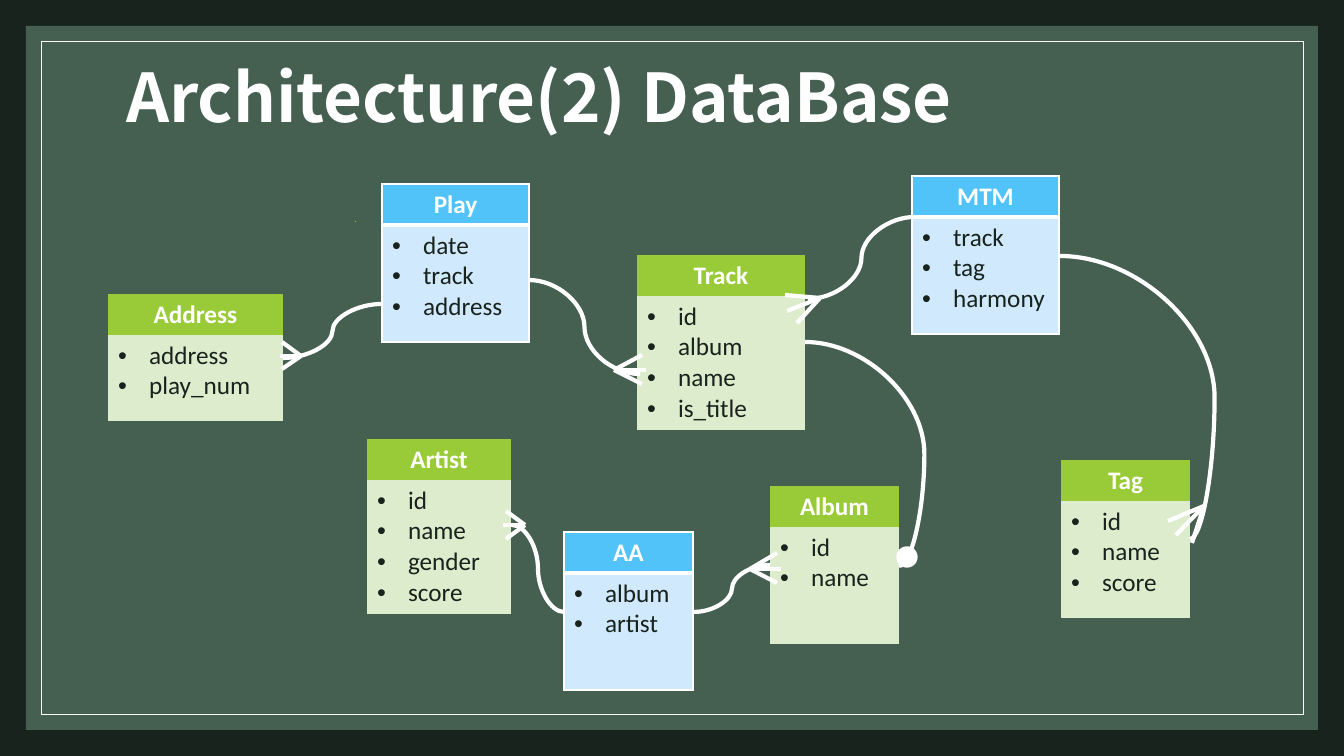
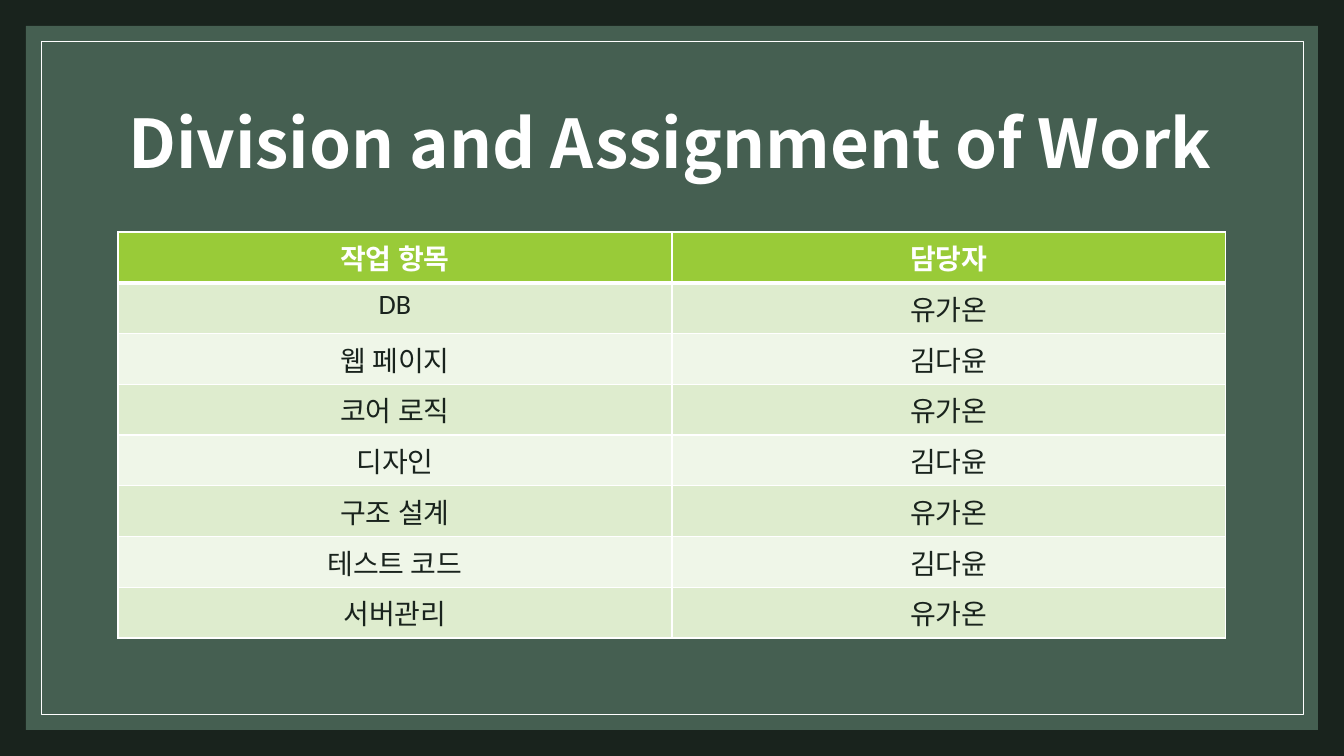
from dataclasses import dataclass

from pptx import Presentation
from pptx.dml.color import RGBColor
from pptx.enum.shapes import MSO_CONNECTOR as CONNECTOR, MSO_SHAPE as SHAPE
from pptx.enum.text import MSO_ANCHOR as ANCHOR, MSO_AUTO_SIZE as AUTO_SIZE, PP_ALIGN as ALIGN
from pptx.oxml.ns import qn
from pptx.oxml.xmlchemy import OxmlElement
from pptx.util import Emu, Pt

PIXELS_PER_INCH = 100.8
TITLE_ONLY = 5
NO_TABLE_STYLE = "{2D5ABB26-0587-4C30-8999-92F81FD0307C}"


# Theme: colours, fonts and type sizes
@dataclass(frozen=True)
class Theme:
    dark: str = "19231D"
    board: str = "455F51"
    white: str = "FFFFFF"
    green: str = "99CB38"
    green_light: str = "DEECCE"
    green_pale: str = "EFF6E8"
    blue: str = "51C3F9"
    blue_light: str = "D0E9FD"
    body_font: str = "Calibri"
    title_font: str = "Noto Sans CJK KR"
    title_size: int = 48
    entity_size: int = 18
    table_size: int = 20


def px(pixels):
    return Emu(round(pixels * 914400 / PIXELS_PER_INCH))


def add_xml(parent, tag, **attributes):
    element = OxmlElement(tag)
    for name, value in attributes.items():
        element.set(name, str(value))
    parent.append(element)
    return element


def write_text(paragraph, text, *, size, color, font, east_asian, bold=False,
               align=ALIGN.LEFT, spacing=None, bullet=False):
    paragraph.alignment = align
    if spacing:
        paragraph.line_spacing = spacing
    if bullet:
        properties = paragraph._p.get_or_add_pPr()
        properties.set("marL", str(px(31)))
        properties.set("indent", str(-px(31)))
        add_xml(properties, "a:buFont", typeface="Arial")
        add_xml(properties, "a:buChar", char="•")
    run = paragraph.add_run()
    run.text = text
    run.font.size = Pt(size)
    run.font.bold = bold
    run.font.name = font
    run.font.color.rgb = RGBColor.from_string(color)
    add_xml(run._r.get_or_add_rPr(), "a:ea", typeface=east_asian)


class Deck:
    def __init__(self, theme):
        self.theme = theme
        self.presentation = Presentation()
        self.presentation.slide_width = px(1344)
        self.presentation.slide_height = px(756)
        self.slide = None

    def add_slide(self, title, left, top):
        layout = self.presentation.slide_layouts[TITLE_ONLY]
        self.slide = self.presentation.slides.add_slide(layout)
        shape = self.slide.shapes.title
        shape.left, shape.top, shape.width, shape.height = map(px, (left, top, 1109, 151))
        frame = shape.text_frame
        frame.word_wrap = True
        frame.auto_size = AUTO_SIZE.NONE
        frame.vertical_anchor = ANCHOR.MIDDLE
        theme = self.theme
        write_text(frame.paragraphs[0], title, size=theme.title_size, color=theme.white,
                   font=theme.title_font, east_asian=theme.title_font, bold=True, spacing=0.9)

    def shape(self, kind, box, fill=None, line=None, width=1, parent=None):
        shapes = (parent or self.slide).shapes
        shape = shapes.add_shape(kind, *map(px, box))
        shape.shadow.inherit = False
        if fill:
            shape.fill.solid()
            shape.fill.fore_color.rgb = RGBColor.from_string(fill)
        else:
            shape.fill.background()
        if line:
            shape.line.color.rgb = RGBColor.from_string(line)
            shape.line.width = Pt(width)
        else:
            shape.line.fill.background()
        return shape

    def master_frames(self):
        """Put the board and its thin frame behind every slide."""
        master = self.presentation.slide_master
        master.background.fill.solid()
        master.background.fill.fore_color.rgb = RGBColor.from_string(self.theme.dark)
        board = self.shape(SHAPE.RECTANGLE, (26, 26, 1292, 704), fill=self.theme.board)
        border = self.shape(SHAPE.RECTANGLE, (41, 41, 1262, 673),
                            line=self.theme.white, width=0.5)
        for index, shape in enumerate((board, border)):
            shape.element.nvSpPr.cNvPr.set("id", str(101 + index))
            master.shapes.element.insert(2 + index, shape.element)

    def line(self, start, end, kind=CONNECTOR.STRAIGHT, color=None, width=3,
             bend=None, parent=None):
        shapes = (parent or self.slide).shapes
        connector = shapes.add_connector(kind, *map(px, (*start, *end)))
        connector.line.color.rgb = RGBColor.from_string(color or self.theme.white)
        connector.line.width = Pt(width)
        properties = connector.element.spPr
        add_xml(properties, "a:effectLst")
        if bend is not None:
            guides = properties.find(qn("a:prstGeom")).find(qn("a:avLst"))
            add_xml(guides, "a:gd", name="adj1", fmla=f"val {round(bend * 100000)}")

    def relation(self, start, end, tip=None, toes=(), dot=None, bend=None):
        """Curve with a crow's foot or a dot, kept in one group."""
        group = self.slide.shapes.add_group_shape()
        if dot:
            self.shape(SHAPE.OVAL, dot, fill=self.theme.white, line=self.theme.white,
                       parent=group)
        self.line(start, end, CONNECTOR.CURVE, bend=bend, parent=group)
        for toe in toes:
            self.line(tip, toe, parent=group)

    def table(self, left, top, widths, heights):
        frame = self.slide.shapes.add_table(len(heights), len(widths), px(left), px(top),
                                            px(sum(widths)), px(sum(heights)))
        table = frame.table
        table.first_row = table.horz_banding = False
        table._tbl.tblPr.find(qn("a:tableStyleId")).text = NO_TABLE_STYLE
        for column, width in zip(table.columns, widths):
            column.width = px(width)
        for row, height in zip(table.rows, heights):
            row.height = px(height)
        return table

    def cell(self, cell, lines, fill, size, header=False, bordered=True,
             align=ALIGN.CENTER, bullet=False):
        theme = self.theme
        if bordered:
            properties = cell._tc.get_or_add_tcPr()
            for side in "LRTB":
                width = 3 if header and side == "B" else 1
                border = add_xml(properties, f"a:ln{side}", w=Pt(width))
                add_xml(add_xml(border, "a:solidFill"), "a:srgbClr", val=theme.white)
        cell.fill.solid()
        cell.fill.fore_color.rgb = RGBColor.from_string(fill)
        frame = cell.text_frame
        for index, text in enumerate(lines):
            paragraph = frame.add_paragraph() if index else frame.paragraphs[0]
            write_text(paragraph, text, size=size, bold=header, align=align, bullet=bullet,
                       color=theme.white if header else theme.dark,
                       font=theme.body_font, east_asian=theme.title_font)

    def entity(self, name, fields, left, top, width, link=False, body=117):
        """Database table; link tables are blue and bordered."""
        theme = self.theme
        head_fill, body_fill = ((theme.blue, theme.blue_light) if link
                                else (theme.green, theme.green_light))
        table = self.table(left, top, [width], [41, max(body, 10 + 31 * len(fields))])
        self.cell(table.cell(0, 0), [name], head_fill, theme.entity_size,
                  header=True, bordered=link)
        self.cell(table.cell(1, 0), fields, body_fill, theme.entity_size,
                  bordered=link, align=ALIGN.LEFT, bullet=True)

    def work_table(self, left, top, column, row, rows):
        theme = self.theme
        table = self.table(left, top, [column] * len(rows[0]), [row] * len(rows))
        for row_index, texts in enumerate(rows):
            header = row_index == 0
            band = theme.green_light if row_index % 2 else theme.green_pale
            for column_index, text in enumerate(texts):
                self.cell(table.cell(row_index, column_index), [text],
                          theme.green if header else band, theme.table_size, header=header)


theme = Theme()
deck = Deck(theme)

# Slide 1: database entities
deck.add_slide("Architecture(2) DataBase", 116, 25)
deck.master_frames()
deck.entity("Track", ["id", "album", "name", "is_title"], 637, 255, 168)
deck.entity("Tag", ["id", "name", "score"], 1061, 460, 129)
deck.entity("Album", ["id", "name"], 770, 486, 129)
deck.entity("Artist", ["id", "name", "gender", "score"], 367, 439, 144)
deck.entity("AA", ["album", "artist"], 564, 532, 129, link=True)
deck.entity("Play", ["date", "track", "address"], 382, 184, 147, link=True)
deck.entity("Address", ["address", "play_num"], 108, 294, 175, body=86)
deck.entity("MTM", ["track", "tag", "harmony"], 912, 176, 147, link=True)

# Slide 1: relations
deck.line((356, 221), (355, 222), CONNECTOR.CURVE, color=theme.green, width=0.5)
deck.relation((512, 525), (564, 612), tip=(525, 525),
              toes=[(506, 539), (506, 511), (503, 525)])
deck.relation((694, 612), (770, 565), tip=(750, 569),
              toes=[(777, 583), (777, 553), (781, 569)])
deck.relation((1190, 539), (1060, 256), tip=(1204, 506), bend=-0.19,
              toes=[(1168, 521), (1192, 543), (1176, 535)])
deck.relation((808, 299), (915, 217), tip=(820, 298),
              toes=[(797, 323), (785, 295), (787, 311)])
deck.relation((529, 280), (640, 374), tip=(614, 370),
              toes=[(642, 384), (642, 355), (646, 370)])
deck.relation((283, 358), (382, 304), tip=(301, 356),
              toes=[(282, 369), (282, 342), (280, 356)])
deck.relation((805, 342), (899, 566), dot=(897, 547, 20, 20), bend=1.27)

# Slide 2: who does what
deck.add_slide("Division and Assignment of Work", 118, 71)
deck.work_table(118, 232, column=554, row=50, rows=[
    ("작업 항목", "담당자"),
    ("DB", "유가온"),
    ("웹 페이지", "김다윤"),
    ("코어 로직", "유가온"),
    ("디자인", "김다윤"),
    ("구조 설계", "유가온"),
    ("테스트 코드", "김다윤"),
    ("서버관리", "유가온"),
])

deck.presentation.save("out.pptx")
